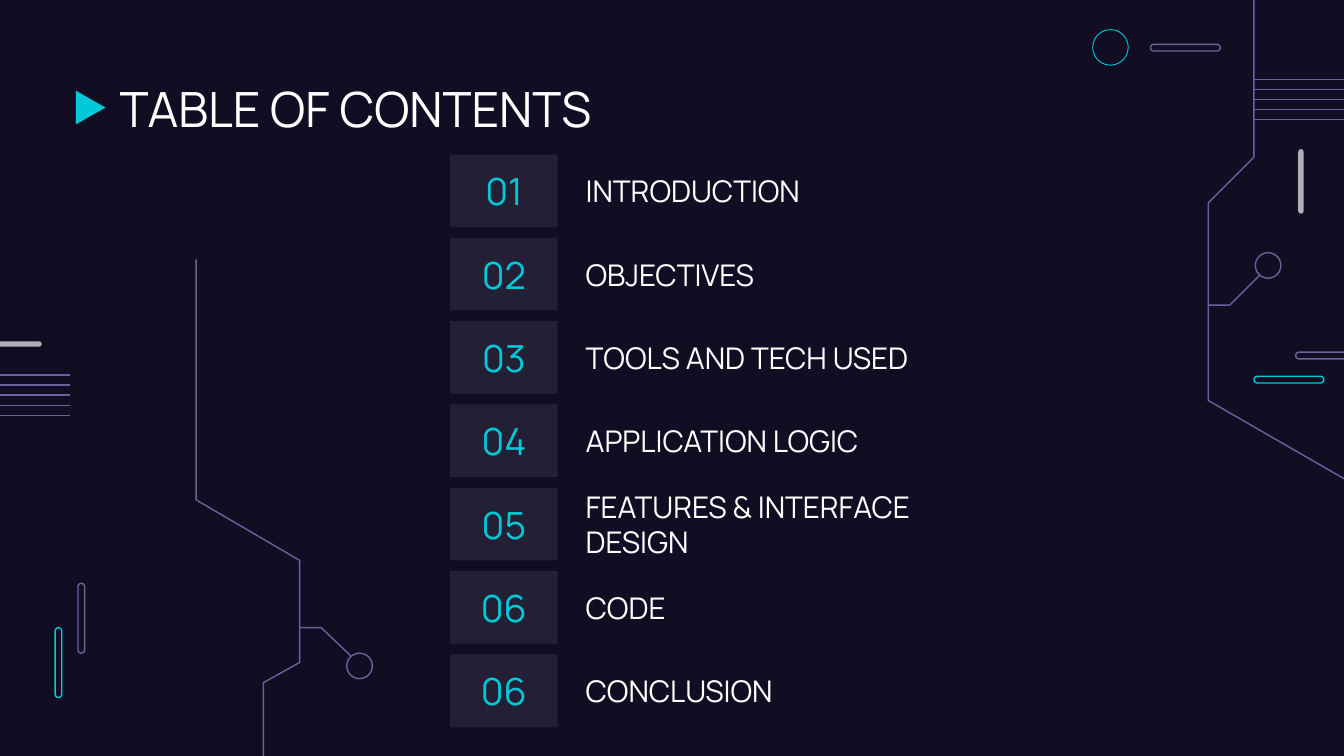
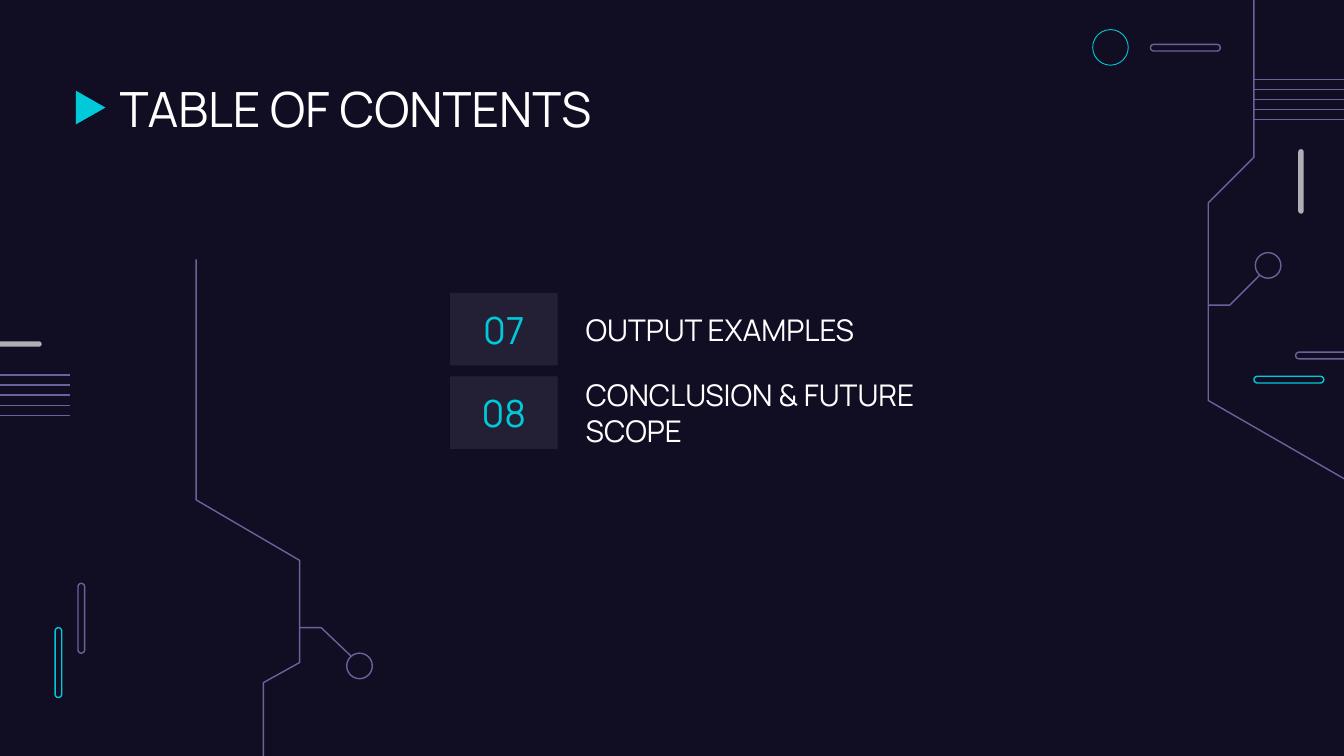
import lxml.etree
import pptx
import pptx.dml.color
import pptx.enum.shapes
import pptx.enum.text
import pptx.oxml.ns
import pptx.util

# Grid: 100 columns across the slide, 56.25 rows down, square cells
COLUMNS, ROWS = 100, 56.25
CELL = pptx.util.Inches(0.1)

NAVY, WHITE, CYAN, PURPLE, GREY = "110E24", "FFFFFF", "00CADA", "69639C", "AFAFB6"
FONT = "Manrope"
TITLE = "TABLE OF CONTENTS"

# Regions as column, row, columns, rows
HEADING = (5.5, 4.9, 86.7, 6.3)
RIGHT_CIRCUIT = (80, 0, 20, ROWS)
LEFT_CIRCUIT = (0, 19, 30, ROWS - 19)
ROW_HEIGHT, ROW_PITCH = 5.4, 6.2

AGENDAS = [
    ((33.5, 11.5, 38.8, 42.6), [
        ("01", "INTRODUCTION"),
        ("02", "OBJECTIVES"),
        ("03", "TOOLS AND TECH USED"),
        ("04", "APPLICATION LOGIC"),
        ("05", "FEATURES & INTERFACE DESIGN"),
        ("06", "CODE"),
        ("06", "CONCLUSION"),
    ]),
    ((33.5, 21.8, 38.8, 11.6), [
        ("07", "OUTPUT EXAMPLES"),
        ("08", "CONCLUSION & FUTURE SCOPE"),
    ]),
]

SHAPES = pptx.enum.shapes.MSO_SHAPE
ANCHORS = pptx.enum.text.MSO_ANCHOR
ALIGNMENTS = pptx.enum.text.PP_ALIGN


def color(value):
    return pptx.dml.color.RGBColor.from_string(value)


def cells(count):
    return pptx.util.Emu(round(count * CELL))


def place(box, column, row, columns, rows):
    """Slide position of a part given in cells from the corner of its box."""
    return [cells(n) for n in (box[0] + column, box[1] + row, columns, rows)]


def paint(shape, fill=None, line=None, weight=0.75):
    shape.shadow.inherit = False
    if fill:
        shape.fill.solid()
        shape.fill.fore_color.rgb = color(fill)
    else:
        shape.fill.background()
    if line:
        shape.line.color.rgb = color(line)
        shape.line.width = pptx.util.Pt(weight)
    else:
        shape.line.fill.background()


def write(shape, text, size, ink, anchor=ANCHORS.MIDDLE, align=ALIGNMENTS.LEFT):
    frame = shape.text_frame
    frame.word_wrap = True
    frame.auto_size = pptx.enum.text.MSO_AUTO_SIZE.NONE
    frame.vertical_anchor = anchor
    frame.margin_left = frame.margin_right = CELL
    frame.margin_top = frame.margin_bottom = CELL
    paragraph = frame.paragraphs[0]
    paragraph.alignment = align
    run = paragraph.add_run()
    run.text = text
    run.font.name = FONT
    run.font.size = pptx.util.Pt(size)
    run.font.color.rgb = color(ink)


# Circuit parts
def pill(slide, box, area, fill=None, line=None):
    bar = slide.shapes.add_shape(SHAPES.ROUNDED_RECTANGLE, *place(box, *area))
    bar.adjustments[0] = 0.5
    paint(bar, fill, line)


def ring(slide, box, column, row, diameter, line, weight=0.75):
    circle = slide.shapes.add_shape(
        SHAPES.OVAL, *place(box, column, row, diameter, diameter))
    paint(circle, line=line, weight=weight)


def trace(slide, box, points):
    corners = [(cells(box[0] + x), cells(box[1] + y)) for x, y in points]
    builder = slide.shapes.build_freeform(*corners[0], scale=1.0)
    builder.add_line_segments(corners[1:], close=False)
    paint(builder.convert_to_shape(), line=PURPLE)


def stripes(slide, box, start, end, top, count=5, gap=0.75):
    for index in range(count):
        y = cells(box[1] + top + index * gap)
        stripe = slide.shapes.add_connector(
            pptx.enum.shapes.MSO_CONNECTOR.STRAIGHT,
            cells(box[0] + start), y, cells(box[0] + end), y)
        stripe.line.color.rgb = color(PURPLE)
        stripe.line.width = pptx.util.Pt(0.75)
        lxml.etree.SubElement(
            stripe._element.spPr, pptx.oxml.ns.qn("a:effectLst"))


# Regions
def right_circuit(slide, box):
    pill(slide, box, (13.3, 28, 5.2, 0.5), line=CYAN)
    pill(slide, box, (16.4, 26.2, 5.2, 0.5), line=PURPLE)
    pill(slide, box, (5.6, 3.3, 5.2, 0.5), line=PURPLE)
    pill(slide, box, (16.6, 11.1, 0.4, 4.8), fill=GREY)
    ring(slide, box, 1.3, 2.2, 2.65, CYAN, 0.47)
    trace(slide, box, [(13.7, 20.5), (11.5, 22.7), (9.9, 22.7)])
    ring(slide, box, 13.4, 18.8, 1.9, PURPLE)
    trace(slide, box, [(21.2, 36.3), (9.9, 29.8), (9.9, 15.1),
                       (13.3, 11.7), (13.3, -0.6)])
    stripes(slide, box, 13.3, 28, 5.9)


def left_circuit(slide, box):
    pill(slide, box, (4.1, 27.7, 0.5, 5.2), line=CYAN)
    pill(slide, box, (5.8, 24.4, 0.5, 5.2), line=PURPLE)
    pill(slide, box, (-1.8, 6.4, 4.9, 0.4), fill=GREY)
    stripes(slide, box, 5.2, -6.1, 8.9)
    trace(slide, box, [(26.1, 29.8), (23.9, 27.7), (22.3, 27.7)])
    ring(slide, box, 25.8, 29.6, 1.9, PURPLE)
    trace(slide, box, [(14.6, 0.3), (14.6, 18.2), (22.3, 22.7),
                       (22.3, 30.3), (19.6, 31.8), (19.6, 38.1)])


def heading(slide, box):
    marker = slide.shapes.add_shape(
        SHAPES.FLOWCHART_MERGE, *place(box, 0, 2, 2.5, 2.2))
    marker.rotation = 270
    paint(marker, fill=CYAN)
    title = slide.shapes.title
    title.left, title.top, title.width, title.height = place(
        box, 2.4, 0, box[2] - 2.4, box[3])
    write(title, TITLE, 26, WHITE, ANCHORS.TOP)


def agenda(slide, box, entries):
    for index, (number, topic) in enumerate(entries):
        row = index * ROW_PITCH
        tile = slide.shapes.add_shape(SHAPES.RECTANGLE, *place(box, 0, row, 8, ROW_HEIGHT))
        paint(tile, fill=WHITE)
        tint = tile.fill._xPr.find(".//" + pptx.oxml.ns.qn("a:srgbClr"))
        lxml.etree.SubElement(tint, pptx.oxml.ns.qn("a:alpha"), val="8000")
        write(tile, number, 20, CYAN, align=ALIGNMENTS.CENTER)
        label = slide.shapes.add_textbox(
            *place(box, 9.1, row, box[2] - 9.1, ROW_HEIGHT))
        write(label, topic, 16, WHITE)


def contents_slide(deck, box, entries):
    slide = deck.slides.add_slide(deck.slide_layouts[5])
    right_circuit(slide, RIGHT_CIRCUIT)
    left_circuit(slide, LEFT_CIRCUIT)
    heading(slide, HEADING)
    agenda(slide, box, entries)


def main():
    deck = pptx.Presentation()
    deck.slide_width, deck.slide_height = cells(COLUMNS), cells(ROWS)
    backdrop = deck.slide_master.background.fill
    backdrop.solid()
    backdrop.fore_color.rgb = color(NAVY)
    for box, entries in AGENDAS:
        contents_slide(deck, box, entries)
    deck.save("out.pptx")


if __name__ == "__main__":
    main()
